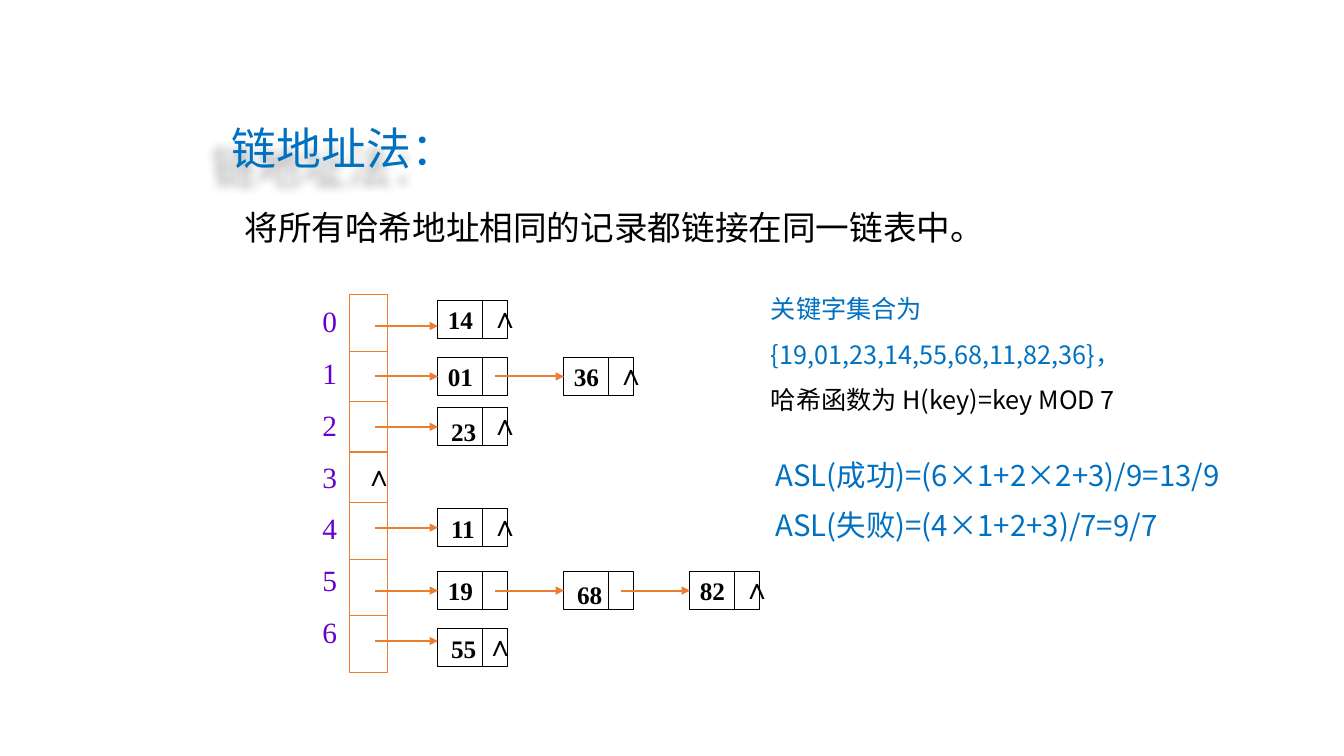
from dataclasses import dataclass
from typing import Optional

from lxml.etree import SubElement
from pptx import Presentation
from pptx.dml.color import RGBColor
from pptx.enum.shapes import MSO_CONNECTOR, MSO_SHAPE
from pptx.enum.text import MSO_ANCHOR, MSO_AUTO_SIZE, PP_ALIGN
from pptx.oxml.ns import qn
from pptx.util import Inches, Pt


@dataclass(frozen=True)
class Theme:
    blue: str = "0070C0"
    black: str = "000000"
    purple: str = "6600CC"
    orange: str = "ED7D31"
    sans: str = "Noto Sans CJK SC"
    serif: str = "Times New Roman"
    title: float = 32
    lead: float = 24
    large: float = 21
    small: float = 18
    thin: float = 0.75
    thick: float = 1.5


@dataclass(frozen=True)
class Node:
    key: str
    label_drop: Optional[float] = None


@dataclass(frozen=True)
class Chain:
    row: float
    arrow_row: float
    nodes: tuple[Node, ...]
    caret_col: float = 6.75


@dataclass(frozen=True)
class Caption:
    lines: tuple[tuple[str, str], ...]
    box: tuple[float, float, float, float]
    size: float
    spacing: float = 1.0
    indent: float = 0
    wrap: bool = True


T = Theme()
UNIT = 1 / 16
TABLE_COL, TABLE_ROW = 55.5, 46.75
SLOT_W, TABLE_H = 6, 60
DIVIDERS = (9, 17, 25, 33, 42, 51)
EMPTY_SLOT = (0.75, 25)
NODE_COL, NODE_STEP = 14, 20
NODE_W, NODE_H, NODE_SPLIT, NODE_LINK = 11, 6, 7, 9
SLOT_LINK = 4

CHAINS = (
    Chain(1, 5, (Node("14"),)),
    Chain(10, 13, (Node("01"), Node("36"))),
    Chain(18, 21, (Node("23", 0.6),)),
    Chain(34, 37, (Node("11", 0),)),
    Chain(44, 47, (Node("19"), Node("68", 0.5), Node("82"))),
    Chain(53, 55, (Node("55", 0),), 6),
)
CAPTIONS = (
    Caption((("将所有哈希地址相同的记录都链接在同一链表中。", T.black),),
            (30.5, 30.75, 129, 9.5), T.lead, spacing=1.2, indent=0.42),
    Caption((("ASL(成功)=(6×1+2×2+3)/9=13/9", T.blue),),
            (121.5, 71.75, 77.5, 7.25), T.large, wrap=False),
    Caption((("ASL(失败)=(4×1+2+3)/7=9/7", T.blue),),
            (121.5, 79.75, 68.25, 7.25), T.large, wrap=False),
    Caption((("关键字集合为", T.blue),
             ("{19,01,23,14,55,68,11,82,36}，", T.blue),
             ("哈希函数为 H(key)=key MOD 7", T.black)),
            (120.75, 43.4, 69.25, 23.4), T.small, spacing=1.5),
)


def grid(*cells: float) -> list[int]:
    return [Inches(c * UNIT) for c in cells]


def in_table(col: float, row: float) -> tuple[float, float]:
    return TABLE_COL + col, TABLE_ROW + row


def write(p, text: str, *, size: float, color: str, font: str = T.sans,
          bold: bool = False, spacing: float = 1.0, before: float = 0,
          indent: float = 0) -> None:
    p.alignment = PP_ALIGN.LEFT
    p.line_spacing = spacing
    p.space_before = Pt(before)
    if indent:
        pPr = p._p.get_or_add_pPr()
        pPr.set("marL", str(Inches(indent)))
        pPr.set("indent", "0")
    r = p.add_run()
    r.text = text
    r.font.size, r.font.bold, r.font.name = Pt(size), bold, font
    r.font.color.rgb = RGBColor.from_string(color)
    SubElement(r._r.get_or_add_rPr(), qn("a:ea"), typeface=font)


def add_box(s, box: tuple[float, ...], wrap: bool = False):
    tf = s.shapes.add_textbox(*grid(*box)).text_frame
    tf.word_wrap = wrap
    tf.auto_size = MSO_AUTO_SIZE.SHAPE_TO_FIT_TEXT
    return tf


def add_rect(s, box: tuple[float, ...], color: str):
    sp = s.shapes.add_shape(MSO_SHAPE.RECTANGLE, *grid(*box))
    sp.shadow.inherit = False
    sp.fill.background()
    sp.line.color.rgb = RGBColor.from_string(color)
    sp.line.width = Pt(T.thin)
    return sp


def add_line(s, start: tuple[float, float], end: tuple[float, float],
             color: str, arrow: bool = False) -> None:
    c = s.shapes.add_connector(MSO_CONNECTOR.STRAIGHT, *grid(*start, *end))
    c.line.color.rgb = RGBColor.from_string(color)
    c.line.width = Pt(T.thick if arrow else T.thin)
    if arrow:
        SubElement(c.line._get_or_add_ln(), qn("a:tailEnd"), type="triangle")
    SubElement(c._element.spPr, qn("a:effectLst"))


def add_caret(s, col: float, row: float) -> None:
    tf = add_box(s, (*in_table(col, row), 6, 7.25))
    write(tf.paragraphs[0], "∧", size=T.large, color=T.black, font=T.serif, bold=True)


def add_title(s, text: str) -> None:
    sp = s.shapes.title
    sp.left, sp.top, sp.width, sp.height = grid(19.2, 18.4, 60.8, 10.25)
    tf = sp.text_frame
    tf.word_wrap = True
    tf.auto_size = MSO_AUTO_SIZE.NONE
    tf.vertical_anchor = MSO_ANCHOR.TOP
    write(tf.paragraphs[0], text, size=T.title, color=T.blue, indent=1)
    sp.fill.background()
    effects = SubElement(sp._element.spPr, qn("a:effectLst"))
    shadow = SubElement(effects, qn("a:outerShdw"), blurRad=str(Inches(0.1)),
                        dist=str(Inches(0.27)), dir="8400000", rotWithShape="0")
    tint = SubElement(shadow, qn("a:srgbClr"), val=T.black)
    SubElement(tint, qn("a:alpha"), val="35000")


def add_caption(s, cap: Caption) -> None:
    tf = add_box(s, cap.box, cap.wrap)
    for i, (text, color) in enumerate(cap.lines):
        p = tf.add_paragraph() if i else tf.paragraphs[0]
        write(p, text, size=cap.size, color=color, spacing=cap.spacing,
              indent=cap.indent)


def add_table_slots(s) -> None:
    add_rect(s, (TABLE_COL, TABLE_ROW, SLOT_W, TABLE_H), T.orange)
    for row in DIVIDERS:
        add_line(s, in_table(0, row), in_table(SLOT_W, row), T.orange)
    tf = add_box(s, (49.6, 47.4, 7, 58.25), wrap=True)
    for i in range(len(DIVIDERS) + 1):
        p = tf.add_paragraph() if i else tf.paragraphs[0]
        write(p, str(i), size=T.large, color=T.purple, font=T.serif,
              before=11.7 if i else 0)
    add_caret(s, *EMPTY_SLOT)


def add_node(s, node: Node, col: float, row: float) -> None:
    sp = add_rect(s, (*in_table(col, row), NODE_W, NODE_H), T.black)
    add_line(s, in_table(col + NODE_SPLIT, row),
             in_table(col + NODE_SPLIT, row + NODE_H), T.black)
    if node.label_drop is None:
        tf = sp.text_frame
        tf.word_wrap = False
        tf.vertical_anchor = MSO_ANCHOR.MIDDLE
    else:
        tf = add_box(s, (*in_table(col + 0.5, row + node.label_drop), 7.2, 6.4))
    write(tf.paragraphs[0], node.key, size=T.small, color=T.black,
          font=T.serif, bold=True)


def add_chain(s, chain: Chain) -> None:
    link = SLOT_LINK
    for i, node in enumerate(chain.nodes):
        col = NODE_COL + i * NODE_STEP
        add_node(s, node, col, chain.row)
        add_line(s, in_table(link, chain.arrow_row),
                 in_table(col, chain.arrow_row), T.orange, arrow=True)
        link = col + NODE_LINK
    add_caret(s, col + chain.caret_col, chain.row - 1)


def main() -> None:
    prs = Presentation()
    prs.slide_width, prs.slide_height = Inches(13.33), Inches(7.5)
    s = prs.slides.add_slide(prs.slide_layouts[5])
    add_title(s, "链地址法：")
    add_table_slots(s)
    for chain in CHAINS:
        add_chain(s, chain)
    for cap in CAPTIONS:
        add_caption(s, cap)
    prs.save("out.pptx")


if __name__ == "__main__":
    main()
